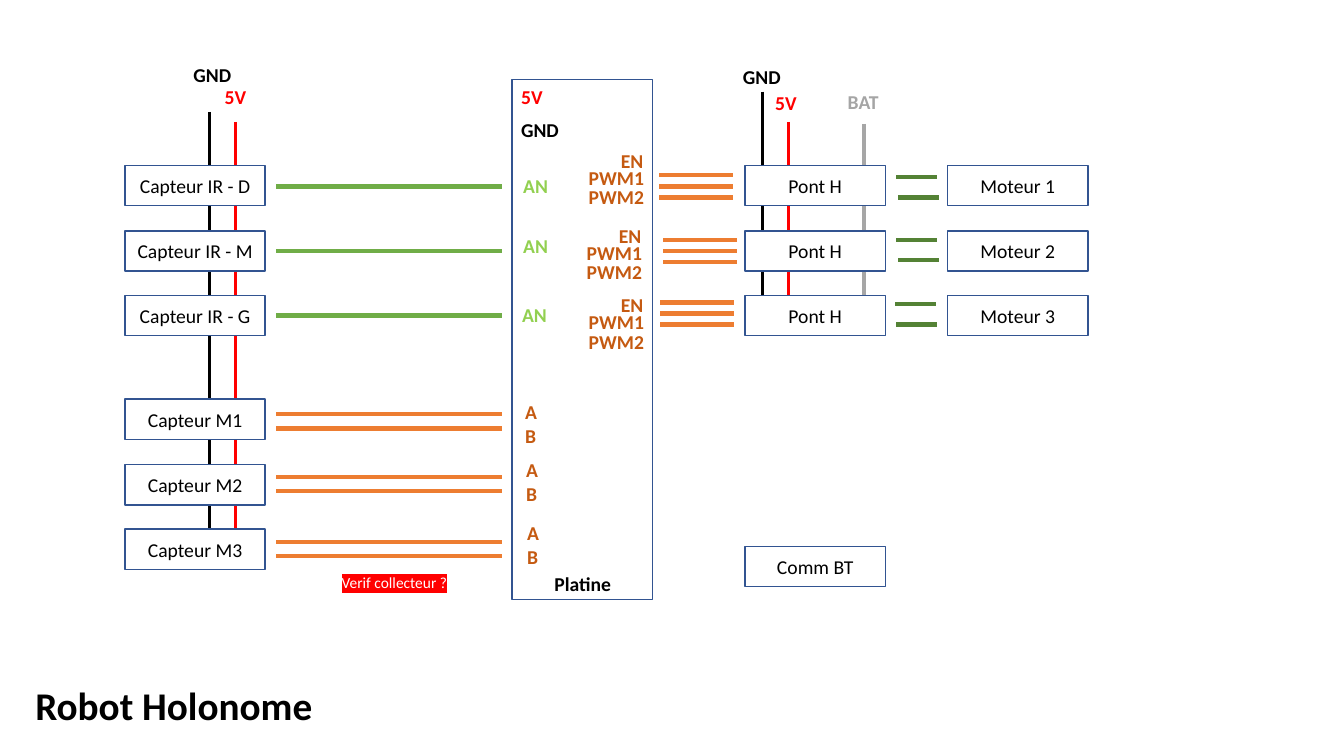
"""Build the wiring diagram slide of the Robot Holonome."""
from lxml.etree import SubElement
from pptx import Presentation
from pptx.dml.color import RGBColor
from pptx.enum.shapes import MSO_CONNECTOR, MSO_SHAPE
from pptx.enum.text import MSO_ANCHOR, MSO_AUTO_SIZE, PP_ALIGN
from pptx.oxml import parse_xml
from pptx.oxml.ns import nsdecls, qn
from pptx.util import Inches, Pt

BLACK = RGBColor(0x00, 0x00, 0x00)
WHITE = RGBColor(0xFF, 0xFF, 0xFF)
RED = RGBColor(0xFF, 0x00, 0x00)
RAIL_GRAY = RGBColor(0xA6, 0xA6, 0xA6)
BAT_GRAY = RGBColor(0xA5, 0xA5, 0xA5)
BORDER_BLUE = RGBColor(0x32, 0x54, 0x91)
GREEN = RGBColor(0x70, 0xAD, 0x47)
DARK_GREEN = RGBColor(0x54, 0x82, 0x35)
LIGHT_GREEN = RGBColor(0x92, 0xD0, 0x50)
ORANGE = RGBColor(0xED, 0x7D, 0x31)
RUST = RGBColor(0xC5, 0x5A, 0x11)

BOX_W, BOX_H = 1.39, 0.4
SENSOR_X, BRIDGE_X, MOTOR_X = 1.24, 7.39, 9.4
POWER_ROWS = [1.64, 2.29, 2.93]
ENCODER_ROWS = [3.96, 4.61, 5.25]

prs = Presentation()
prs.slide_width, prs.slide_height = Inches(13.33), Inches(7.5)
slide = prs.slides.add_slide(prs.slide_layouts[5])
shapes = slide.shapes


def add_line(x1, y1, x2, y2, color, width=3):
    line = shapes.add_connector(MSO_CONNECTOR.STRAIGHT, *map(Inches, (x1, y1, x2, y2)))
    line.line.color.rgb = color
    line.line.width = Pt(width)
    SubElement(line._element.spPr, qn("a:effectLst"))


def write(tf, text, color=BLACK, align=PP_ALIGN.LEFT, **style):
    p = tf.paragraphs[0]
    p.alignment = align
    r = p.add_run()
    r.text = text
    r.font.color.rgb = color
    for key, value in {"name": "Calibri", "size": Pt(14), "bold": False, **style}.items():
        setattr(r.font, key, value)
    return r


for x, top, bottom, color in [
    (8.57, 1.23, 3.13, RAIL_GRAY),
    (7.56, 0.91, 2.93, BLACK),
    (7.82, 1.21, 3.33, RED),
    (2.08, 1.11, 5.55, BLACK),
    (2.34, 1.21, 5.65, RED),
]:
    add_line(x, top, x, bottom, color, 2.25)

title = shapes.title
title.left, title.top, title.width, title.height = map(Inches, (0.25, 6.71, 2.98, 0.57))
title_format = {"word_wrap": False, "auto_size": MSO_AUTO_SIZE.SHAPE_TO_FIT_TEXT,
                "vertical_anchor": MSO_ANCHOR.TOP}
for key, value in title_format.items():
    setattr(title.text_frame, key, value)
write(title.text_frame, "Robot Holonome", size=Pt(28), bold=True)

boxes = [("", 5.08, 0.79, BOX_W, 5.16), ("Comm BT", BRIDGE_X, 5.42, BOX_W, BOX_H)]
for i, (power_y, encoder_y, side) in enumerate(zip(POWER_ROWS, ENCODER_ROWS, "DMG"), 1):
    boxes += [
        (f"Capteur IR - {side}", SENSOR_X, power_y, BOX_W, BOX_H),
        (f"Capteur M{i}", SENSOR_X, encoder_y, BOX_W, BOX_H),
        ("Pont H", BRIDGE_X, power_y, BOX_W, BOX_H),
        (f"Moteur {i}", MOTOR_X, power_y, BOX_W, BOX_H),
    ]
for text, *place in boxes:
    sp = shapes.add_shape(MSO_SHAPE.RECTANGLE, *map(Inches, place))
    sp.shadow.inherit = False
    sp.fill.solid()
    sp.fill.fore_color.rgb = WHITE
    sp.line.color.rgb = BORDER_BLUE
    sp.line.width = Pt(1)
    if text:
        sp.text_frame.vertical_anchor = MSO_ANCHOR.MIDDLE
        write(sp.text_frame, text, align=PP_ALIGN.CENTER)

for y in (1.85, 2.49, 3.13):
    add_line(2.74, y, 4.98, y, GREEN)
for top in (4.11, 4.73, 5.38):
    for y in (top, top + 0.14):
        add_line(2.74, y, 4.98, y, ORANGE)
for x, top in [(6.54, 1.74), (6.58, 2.38), (6.55, 3)]:
    for i in range(3):
        y = top + i * 0.11
        add_line(x, y, x + 0.73, y, ORANGE)
for x, y in [(8.89, 1.76), (8.91, 1.96), (8.89, 2.38), (8.91, 2.58), (8.88, 3.02), (8.89, 3.22)]:
    add_line(x, y, x + 0.4, y, DARK_GREEN)

labels = [
    ("GND", 1.82, 0.58, 0.6, BLACK), ("5V", 2.13, 0.79, 0.45, RED),
    ("5V", 5.07, 0.79, 0.45, RED), ("GND", 5.07, 1.12, 0.6, BLACK),
    ("GND", 7.27, 0.59, 0.6, BLACK), ("5V", 7.59, 0.85, 0.45, RED),
    ("BAT", 8.31, 0.84, 0.53, BAT_GRAY), ("Platine", 5.4, 5.62, 0.9, BLACK),
]
for x, y in [(5.09, 1.68), (5.09, 2.27), (5.08, 2.96)]:
    labels.append(("AN", x, y, 0.58, LIGHT_GREEN))
for x, y in [(5.74, 1.43), (5.72, 2.17), (5.74, 2.86)]:
    labels += [("EN", x + 0.32, y, 0.58, RUST), ("PWM1", x, y + 0.17, 0.93, RUST),
               ("PWM2", x, y + 0.36, 0.93, RUST)]
for x, y in [(5.11, 3.92), (5.12, 4.49), (5.13, 5.12)]:
    labels += [("A", x, y, 0.58, RUST), ("B", x, y + 0.24, 0.58, RUST)]
for text, x, y, width, color in labels:
    tf = shapes.add_textbox(*map(Inches, (x, y, width, 0.34))).text_frame
    tf.word_wrap = True
    tf.auto_size = MSO_AUTO_SIZE.SHAPE_TO_FIT_TEXT
    write(tf, text, color, bold=True)

tf = shapes.add_textbox(*map(Inches, (3.29, 5.64, 1.32, 0.29))).text_frame
tf.word_wrap = True
tf.auto_size = MSO_AUTO_SIZE.SHAPE_TO_FIT_TEXT
r = write(tf, "Verif collecteur ?", WHITE, size=Pt(11))
highlight = parse_xml(f'<a:highlight {nsdecls("a")}><a:srgbClr val="{RED}"/></a:highlight>')
r._r.get_or_add_rPr().find(qn("a:latin")).addprevious(highlight)

prs.save("out.pptx")
